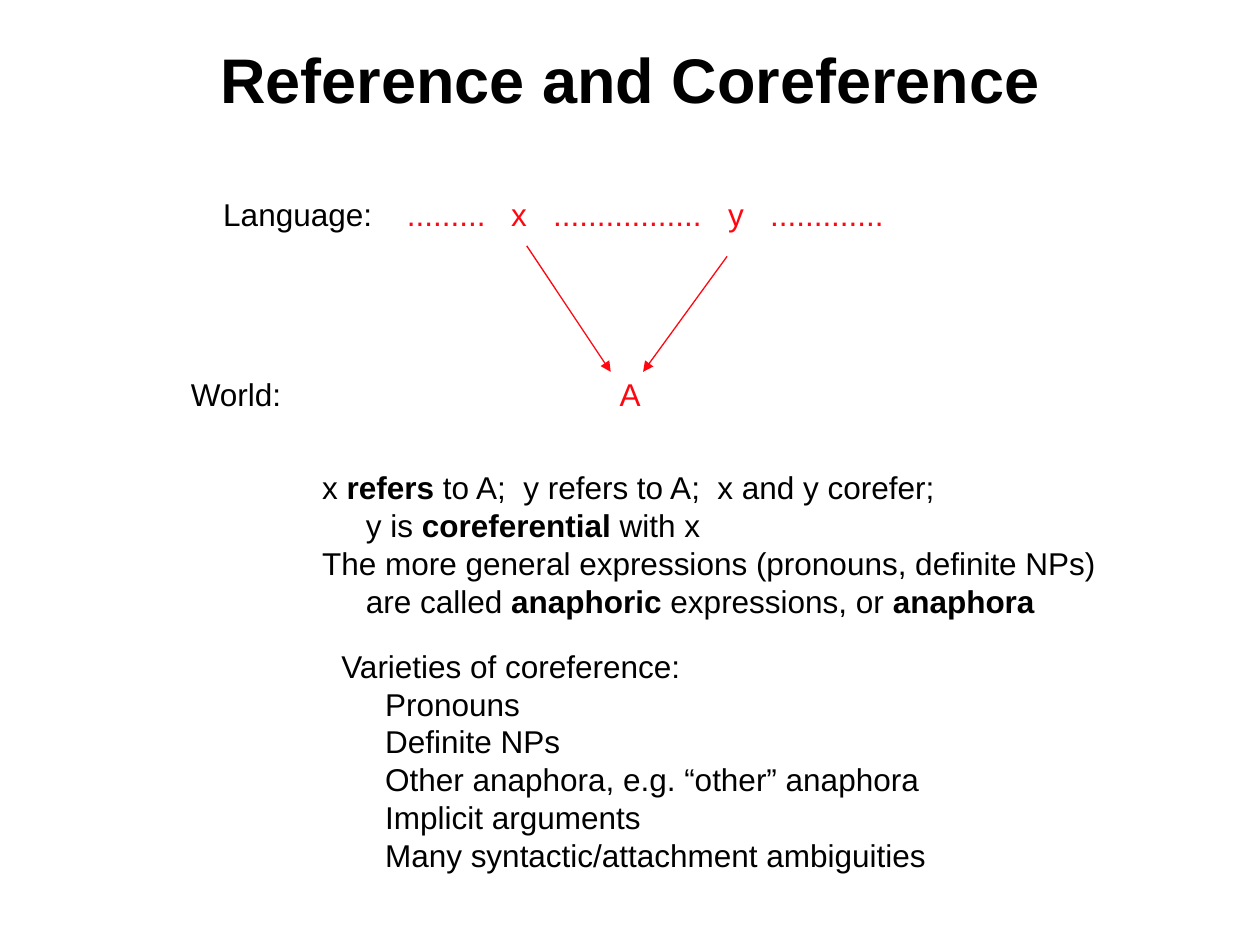
from lxml.etree import SubElement
from pptx import Presentation
from pptx.dml.color import RGBColor
from pptx.enum.shapes import MSO_CONNECTOR
from pptx.enum.text import MSO_ANCHOR, PP_ALIGN
from pptx.oxml.ns import qn
from pptx.util import Pt

COLORS = {"text": "000000", "accent": "FF0710"}
FONT = "Arial"
INDENT = 25

# Content: a paragraph is (indent level, runs); a run is (text, format)
TITLE = [(0, [("Reference and Coreference", {"bold": True})])]
SENTENCE = [(0, [("Language:", {}),
                 ("\t.........\tx\t.................\ty\t.............", {"color": "accent"})])]
SENTENCE_TABS = [105, 164.5, 188.5, 288.5, 312.5]
WORLD = [(0, [("World:", {})])]
REFERENT = [(0, [("A", {"color": "accent"})])]
DEFINITIONS = [
    (0, [("x ", {}), ("refers", {"bold": True}),
         (" to A;  y refers to A;  x and y corefer;", {})]),
    (1, [("y is ", {}), ("coreferential", {"bold": True}), (" with x", {})]),
    (0, [("The more general expressions (pronouns, definite NPs)", {})]),
    (1, [("are called ", {}), ("anaphoric", {"bold": True}),
         (" expressions, or ", {}), ("anaphora", {"bold": True})]),
]
VARIETIES = [(0, [("Varieties of coreference:", {})])] + [
    (1, [(name, {})]) for name in (
        "Pronouns", "Definite NPs", "Other anaphora, e.g. “other” anaphora",
        "Implicit arguments", "Many syntactic/attachment ambiguities")
]

# Text boxes: content, (left, top, width, height), format
BOXES = [
    (SENTENCE, (120.5, 108, 396, 29), {"tabs": SENTENCE_TABS, "wrap": True}),
    (WORLD, (102, 210.5, 66, 29), {}),
    (REFERENT, (347, 210.5, 26, 29), {}),
    (DEFINITIONS, (177, 264, 456.5, 94), {}),
    (VARIETIES, (188, 366, 348.5, 137), {}),
]
# Arrows from x and y to A
ARROWS = [((301, 140.5), (349, 212.5)), ((415.5, 146.5), (367.5, 212.5))]


def color(name):
    return RGBColor.from_string(COLORS[name])


def write_text(shape, paragraphs, size=18, align=PP_ALIGN.LEFT,
               anchor=MSO_ANCHOR.TOP, wrap=False, tabs=()):
    frame = shape.text_frame
    frame.word_wrap = wrap
    frame.vertical_anchor = anchor
    for index, (level, runs) in enumerate(paragraphs):
        paragraph = frame.add_paragraph() if index else frame.paragraphs[0]
        paragraph.alignment = align
        properties = paragraph._p.get_or_add_pPr()
        if level:
            properties.set("marL", str(Pt(INDENT * level)))
        if tabs:
            tab_list = SubElement(properties, qn("a:tabLst"))
            for position in tabs:
                SubElement(tab_list, qn("a:tab"), pos=str(Pt(position)), algn="l")
        for text, style in runs:
            run = paragraph.add_run()
            run.text = text
            run.font.name = FONT
            run.font.size = Pt(size)
            run.font.bold = style.get("bold", False)
            run.font.color.rgb = color(style.get("color", "text"))


def add_arrow(slide, start, end):
    arrow = slide.shapes.add_connector(
        MSO_CONNECTOR.STRAIGHT, *map(Pt, start + end))
    arrow.line.color.rgb = color("accent")
    arrow.line.width = Pt(0.75)
    SubElement(arrow.line._get_or_add_ln(), qn("a:tailEnd"), type="triangle")
    SubElement(arrow._element.spPr, qn("a:effectLst"))


def main():
    presentation = Presentation()
    presentation.slide_width, presentation.slide_height = Pt(720), Pt(540)
    slide = presentation.slides.add_slide(presentation.slide_layouts[5])

    # Title
    title = slide.shapes.title
    title.left, title.top, title.width, title.height = map(Pt, (54, 0, 612, 90))
    write_text(title, TITLE, size=36, align=PP_ALIGN.CENTER,
               anchor=MSO_ANCHOR.MIDDLE, wrap=True)

    # Diagram labels and explanations
    for paragraphs, bounds, style in BOXES:
        write_text(slide.shapes.add_textbox(*map(Pt, bounds)), paragraphs, **style)

    # Reference arrows
    for start, end in ARROWS:
        add_arrow(slide, start, end)

    presentation.save("out.pptx")


if __name__ == "__main__":
    main()
